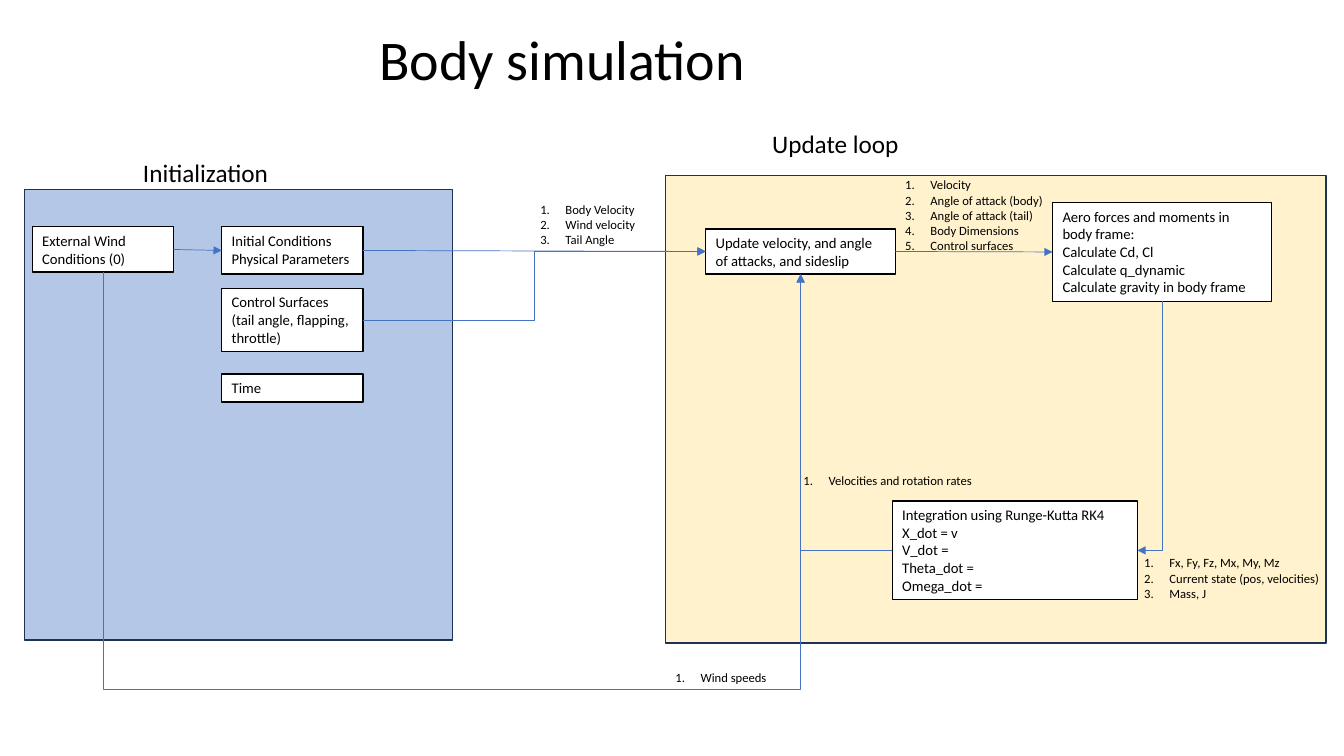
from dataclasses import dataclass
from typing import NamedTuple

from lxml.etree import SubElement
from pptx import Presentation
from pptx.dml.color import RGBColor
from pptx.enum.shapes import MSO_CONNECTOR, MSO_SHAPE
from pptx.enum.text import MSO_ANCHOR, MSO_AUTO_SIZE, PP_ALIGN
from pptx.oxml.ns import qn
from pptx.util import Inches, Pt


@dataclass(frozen=True)
class Theme:
    """Colours, type sizes and line widths of the slide."""
    font: str = "Calibri"
    ink: str = "000000"
    paper: str = "FFFFFF"
    start_fill: str = "B4C7E7"
    loop_fill: str = "FFF2CC"
    panel_line: str = "1E3256"
    flow: str = "4472C4"
    title: float = 40
    heading: float = 18
    body: float = 10.5
    note: float = 9
    outline: float = 1
    flow_width: float = 0.5


class Box(NamedTuple):
    """A rectangle in inches."""
    left: float
    top: float
    width: float
    height: float

    def inner(self, left, top, width, height):
        """Return a box whose corner is offset from this one's."""
        return Box(self.left + left, self.top + top, width, height)

    def lengths(self):
        """Return the four values as lengths."""
        return [Inches(value) for value in self]


THEME = Theme()
TOP, LEFT, BOTTOM, RIGHT = range(4)


def apply_format(target, values):
    """Set each named attribute on the target."""
    for name, value in values.items():
        setattr(target, name, value)


def add_number(paragraph):
    """Give the paragraph a hanging automatic number."""
    properties = paragraph._p.get_or_add_pPr()
    properties.set("marL", str(Inches(0.25)))
    properties.set("indent", str(Inches(-0.25)))
    SubElement(properties, qn("a:buFont")).set("typeface", THEME.font)
    SubElement(properties, qn("a:buAutoNum")).set("type", "arabicPeriod")


def write_text(shape, lines, size, alignment=PP_ALIGN.LEFT, numbered=False):
    """Write one formatted paragraph for each line."""
    frame = shape.text_frame
    apply_format(frame, {"word_wrap": True, "auto_size": MSO_AUTO_SIZE.NONE,
                         "vertical_anchor": MSO_ANCHOR.TOP})
    frame.text = "\n".join(lines)
    for paragraph in frame.paragraphs:
        if numbered:
            add_number(paragraph)
        paragraph.alignment = alignment
        for run in paragraph.runs:
            apply_format(run.font, {"name": THEME.font, "size": Pt(size)})
            run.font.color.rgb = RGBColor.from_string(THEME.ink)


def add_rectangle(slide, box, fill, line):
    """Add a plain filled and outlined rectangle."""
    shape = slide.shapes.add_shape(MSO_SHAPE.RECTANGLE, *box.lengths())
    shape.shadow.inherit = False
    shape.fill.solid()
    shape.fill.fore_color.rgb = RGBColor.from_string(fill)
    shape.line.color.rgb = RGBColor.from_string(line)
    shape.line.width = Pt(THEME.outline)
    return shape


def add_step(slide, box, *lines):
    """Add a white process step."""
    shape = add_rectangle(slide, box, THEME.paper, THEME.ink)
    write_text(shape, lines, THEME.body)
    return shape


def add_label(slide, box, lines, size, numbered=False):
    """Add a text box without an outline."""
    shape = slide.shapes.add_textbox(*box.lengths())
    write_text(shape, lines, size, numbered=numbered)


def add_notes(slide, box, *lines):
    """Add a numbered list of the values carried by an arrow."""
    add_label(slide, box, lines, THEME.note, numbered=True)


def add_flow(slide, source, source_side, target, target_side, kind=MSO_CONNECTOR.STRAIGHT):
    """Add an arrow glued to two steps."""
    connector = slide.shapes.add_connector(kind, 0, 0, 0, 0)
    connector.begin_connect(source, source_side)
    connector.end_connect(target, target_side)
    connector.line.color.rgb = RGBColor.from_string(THEME.flow)
    connector.line.width = Pt(THEME.flow_width)
    SubElement(connector.line._get_or_add_ln(), qn("a:tailEnd")).set("type", "triangle")
    SubElement(connector._element.spPr, qn("a:effectLst"))
    return connector


def turn_elbow(connector, preset, degrees, flip=False, bend_depth=None):
    """Rotate an elbow between its ends and set where it bends."""
    left, top, width, height = connector.left, connector.top, connector.width, connector.height
    if degrees % 180:
        left, top = left + (width - height) // 2, top + (height - width) // 2
        width, height = height, width
    apply_format(connector, {"left": left, "top": top, "width": width, "height": height})
    properties = connector._element.spPr
    transform = properties.find(qn("a:xfrm"))
    for name, value in {"rot": degrees * 60000, "flipH": int(flip), "flipV": 0}.items():
        transform.set(name, str(value))
    geometry = properties.find(qn("a:prstGeom"))
    geometry.set("prst", preset)
    if bend_depth:
        guide = SubElement(geometry.find(qn("a:avLst")), qn("a:gd"))
        guide.set("name", "adj1")
        guide.set("fmla", f"val {round(Inches(bend_depth) / width * 100000)}")


def add_title(slide, box):
    """Place the slide title."""
    title = slide.shapes.title
    apply_format(title, dict(zip(("left", "top", "width", "height"), box.lengths())))
    write_text(title, ["Body simulation"], THEME.title, PP_ALIGN.CENTER)


def add_initialization(slide, box):
    """Build the initialization panel and return its linked steps."""
    add_rectangle(slide, box, THEME.start_fill, THEME.panel_line)
    add_label(slide, box.inner(1.08, -0.37, 1.77, 0.4), ["Initialization"], THEME.heading)
    wind = add_step(slide, box.inner(0.08, 0.37, 1.4, 0.45), "External Wind Conditions (0)")
    initial = add_step(slide, box.inner(1.96, 0.37, 1.4, 0.47),
                       "Initial Conditions", "Physical Parameters")
    control = add_step(slide, box.inner(1.96, 0.98, 1.4, 0.63),
                       "Control Surfaces", "(tail angle, flapping, throttle)")
    add_step(slide, box.inner(1.96, 1.83, 1.4, 0.28), "Time")
    add_flow(slide, wind, RIGHT, initial, LEFT)
    return wind, initial, control


def add_update_loop(slide, box):
    """Build the update loop panel and return its first step."""
    add_rectangle(slide, box, THEME.loop_fill, THEME.panel_line)
    add_label(slide, box.inner(0.96, -0.52, 2.57, 0.4), ["Update loop"], THEME.heading)
    update = add_step(slide, box.inner(0.4, 0.53, 1.88, 0.45),
                      "Update velocity, and angle of attacks, and sideslip")
    aero = add_step(slide, box.inner(3.84, 0.27, 2.17, 0.98),
                    "Aero forces and moments in body frame:", "Calculate Cd, Cl",
                    "Calculate q_dynamic", "Calculate gravity in body frame")
    integration = add_step(slide, box.inner(2.25, 3.23, 2.43, 0.98),
                           "Integration using Runge-Kutta RK4", "X_dot = v", "V_dot =",
                           "Theta_dot =", "Omega_dot =")
    add_notes(slide, box.inner(2.28, -0.03, 2.02, 1.16), "Velocity", "Angle of attack (body)",
              "Angle of attack (tail)", "Body Dimensions", "Control surfaces")
    add_notes(slide, box.inner(4.65, 3.72, 2.02, 1.01), "Fx, Fy, Fz, Mx, My, Mz",
              "Current state (pos, velocities)", "Mass, J")
    add_notes(slide, box.inner(1.27, 2.9, 2.02, 0.71), "Velocities and rotation rates")
    add_flow(slide, update, RIGHT, aero, LEFT)
    forces = add_flow(slide, aero, BOTTOM, integration, RIGHT, MSO_CONNECTOR.ELBOW)
    turn_elbow(forces, "bentConnector2", 90)
    rates = add_flow(slide, integration, LEFT, update, BOTTOM, MSO_CONNECTOR.ELBOW)
    turn_elbow(rates, "bentConnector2", 180)
    return update


def add_inputs(slide, box, wind, initial, control, update):
    """Link the initialization steps to the loop and label the links."""
    add_flow(slide, initial, RIGHT, update, LEFT)
    add_flow(slide, control, RIGHT, update, LEFT, MSO_CONNECTOR.ELBOW)
    wind_flow = add_flow(slide, wind, BOTTOM, update, BOTTOM, MSO_CONNECTOR.ELBOW)
    turn_elbow(wind_flow, "bentConnector3", 270, flip=True, bend_depth=4.12)
    add_notes(slide, box.inner(0, 0, 2.02, 0.56), "Body Velocity", "Wind velocity", "Tail Angle")
    add_notes(slide, box.inner(1.34, 4.65, 2.02, 0.71), "Wind speeds")


def main():
    """Build and save the slide."""
    presentation = Presentation()
    apply_format(presentation, {"slide_width": Inches(13.33), "slide_height": Inches(7.5)})
    slide = presentation.slides.add_slide(presentation.slide_layouts[5])
    add_title(slide, Box(0.82, 0.19, 9.51, 0.77))
    update = add_update_loop(slide, Box(6.6, 1.74, 6.55, 4.64))
    wind, initial, control = add_initialization(slide, Box(0.24, 1.88, 4.25, 4.47))
    add_inputs(slide, Box(5.26, 1.95, 3.36, 5.36), wind, initial, control, update)
    presentation.save("out.pptx")


if __name__ == "__main__":
    main()
